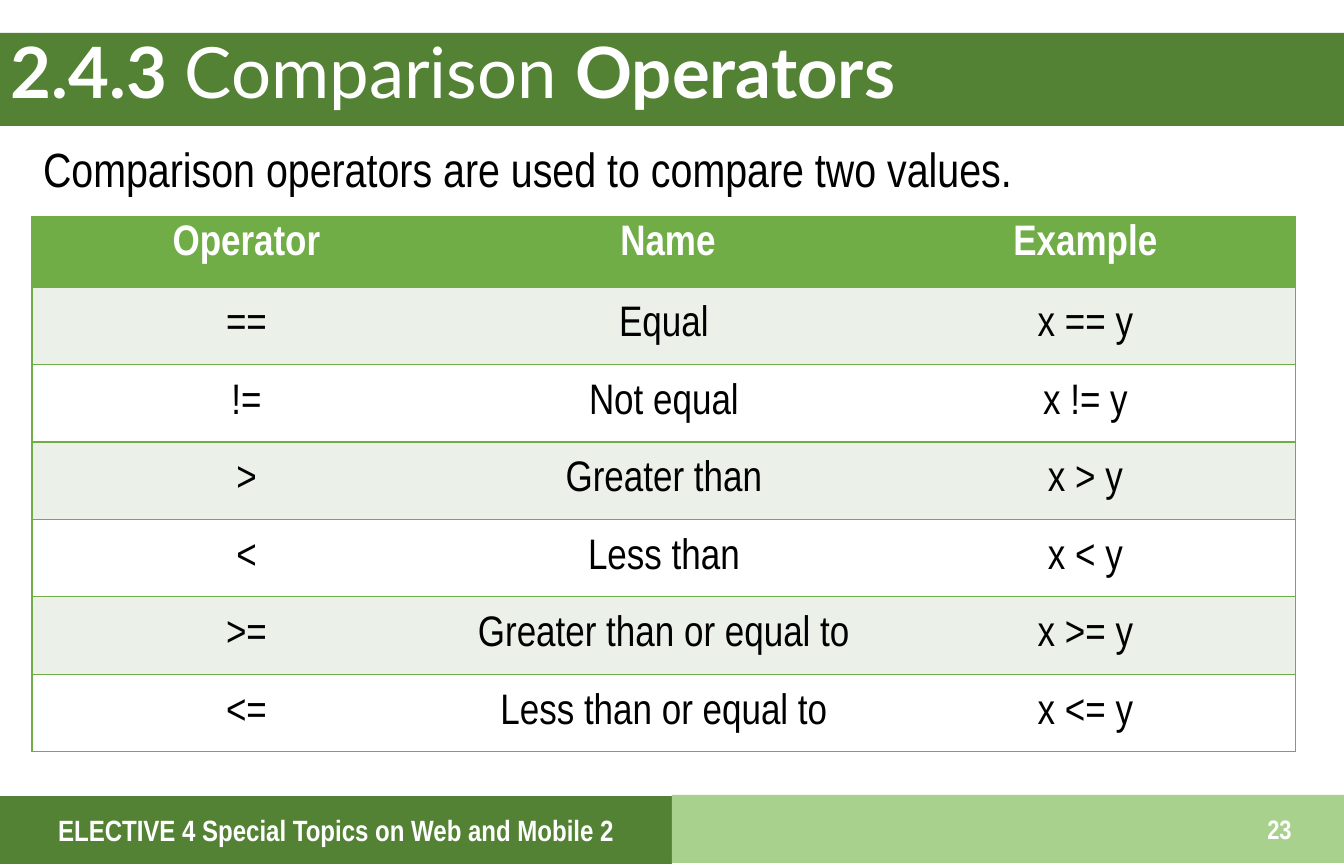
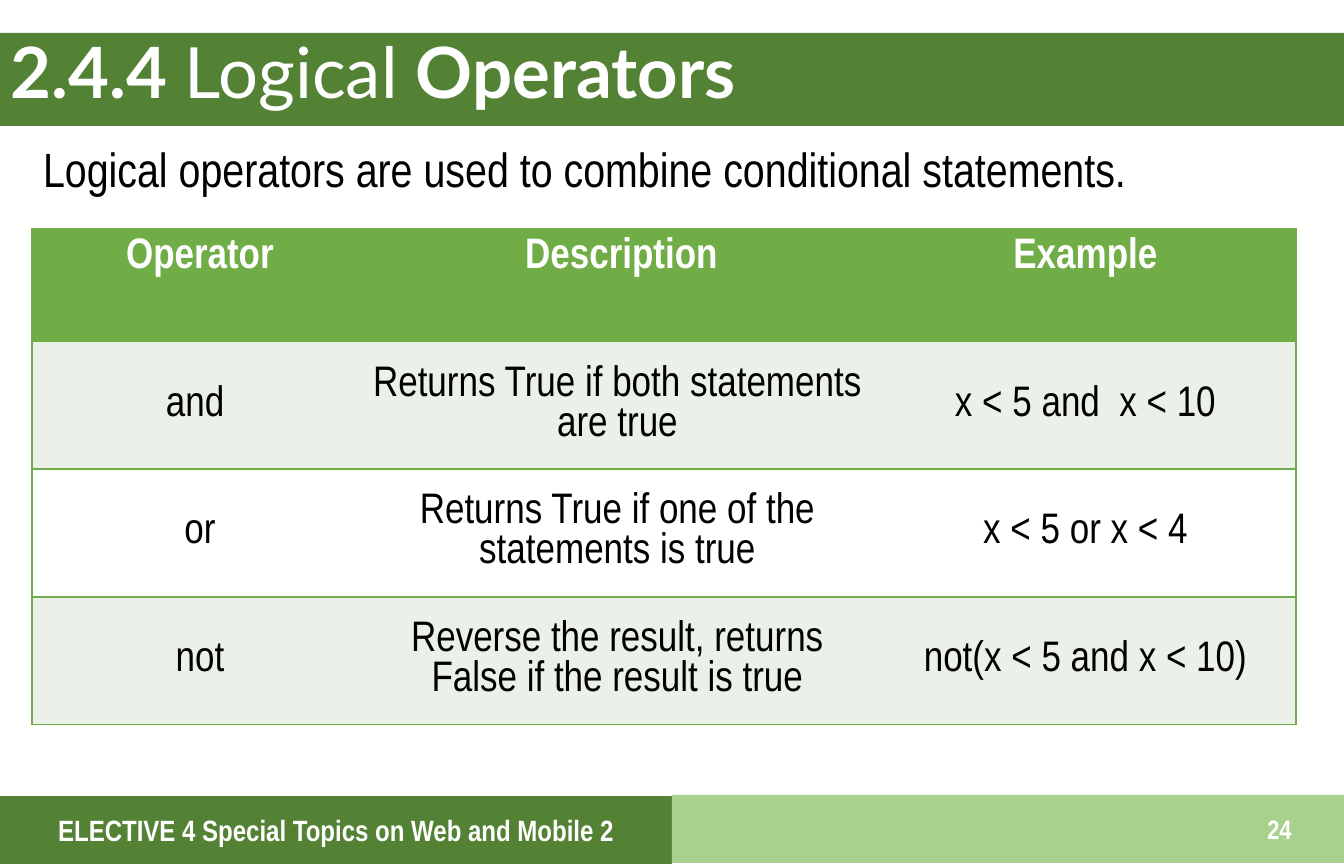
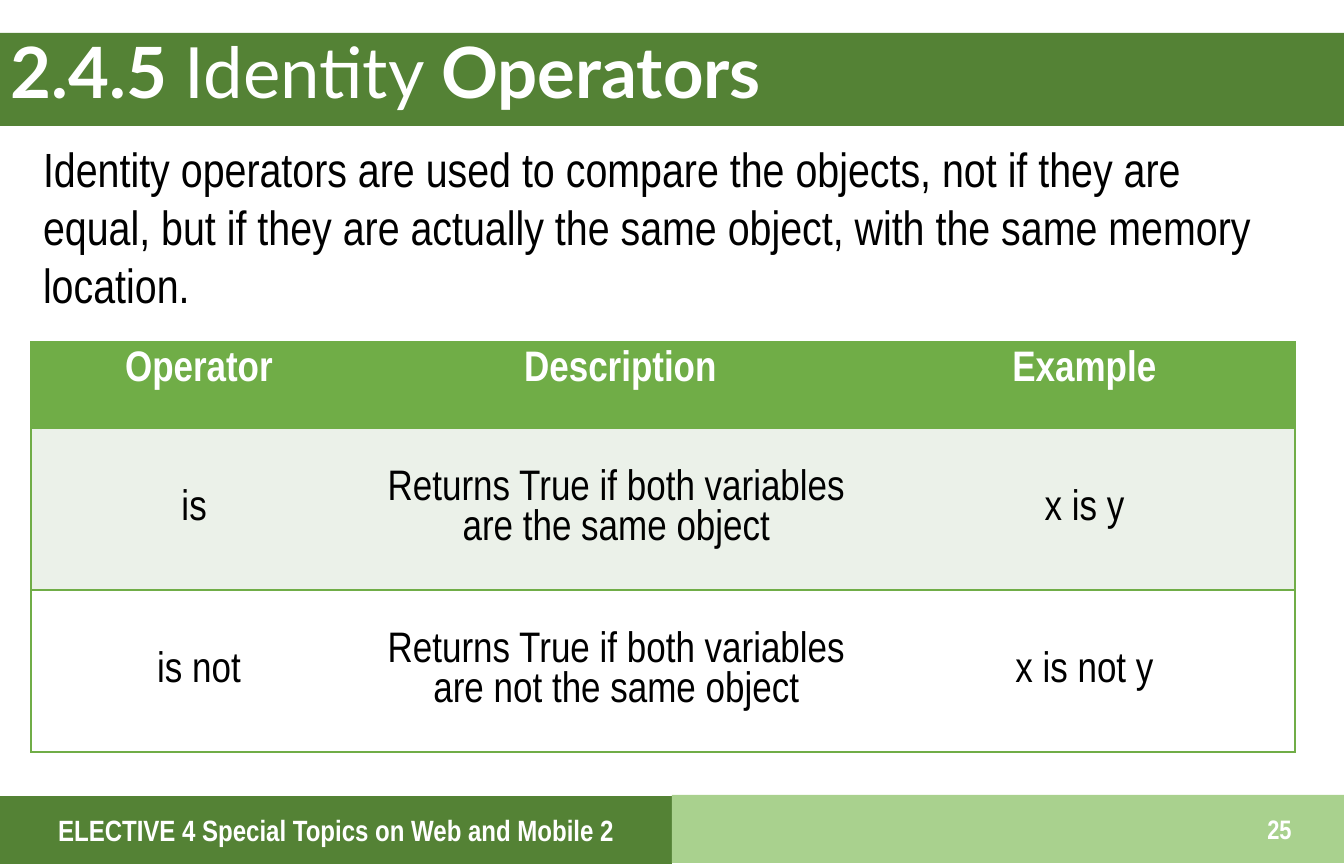
from lxml import etree
from pptx import Presentation
from pptx.dml.color import RGBColor
from pptx.enum.shapes import MSO_SHAPE
from pptx.enum.text import MSO_ANCHOR, PP_ALIGN
from pptx.oxml.ns import qn
from pptx.util import Emu, Pt

PX = 9525
WIDTH, HEIGHT = 1344, 864
HALF = WIDTH // 2

DARK_GREEN = RGBColor(0x54, 0x82, 0x35)
LIGHT_GREEN = RGBColor(0xA9, 0xD1, 0x8E)
TABLE_GREEN = RGBColor(0x70, 0xAD, 0x47)
STRIPE = RGBColor(0xEB, 0xF1, 0xE9)
WHITE = RGBColor(0xFF, 0xFF, 0xFF)
BLACK = RGBColor(0x00, 0x00, 0x00)

TITLE_FONT = "Lato"
BODY_FONT = "Arial Narrow"
COURSE = "ELECTIVE 4 Special Topics on Web and Mobile 2"

RECTANGLE = MSO_SHAPE.RECTANGLE
TOP, MIDDLE = MSO_ANCHOR.TOP, MSO_ANCHOR.MIDDLE
LEFT, CENTER = PP_ALIGN.LEFT, PP_ALIGN.CENTER

BANDS = [
    (0, 33, WIDTH, 93, DARK_GREEN),
    (0, 796, HALF, 68, DARK_GREEN),
    (HALF, 795, HALF, 68, LIGHT_GREEN),
]

EVEN_COLUMNS = (421, 422, 421)
WIDE_MIDDLE = (328, 515, 421)

TOPICS = [
    {
        "title": ("2.4.3 ", "Comparison ", "Operators"),
        "number": "23",
        "intro": "Comparison operators are used to compare two values.",
        "intro_height": 69,
        "box": (32, 217, 535),
        "header_height": 70,
        "columns": EVEN_COLUMNS,
        "rows": [
            ("Operator", "Name", "Example"),
            ("==", "Equal", "x == y"),
            ("!=", "Not equal", "x != y"),
            (">", "Greater than", "x > y"),
            ("<", "Less than", "x < y"),
            (">=", "Greater than or equal to", "x >= y"),
            ("<=", "Less than or equal to", "x <= y"),
        ],
    },
    {
        "title": ("2.4.4 ", "Logical ", "Operators"),
        "number": "24",
        "intro": "Logical operators are used to combine conditional statements.",
        "intro_height": 69,
        "box": (32, 229, 496),
        "header_height": 112,
        "columns": WIDE_MIDDLE,
        "rows": [
            ("Operator", "Description", "Example"),
            ("and ", "Returns True if both statements are true",
             "x < 5 and  x < 10"),
            ("or", "Returns True if one of the statements is true",
             "x < 5 or x < 4"),
            ("not", "Reverse the result, returns False if the result is true",
             "not(x < 5 and x < 10)"),
        ],
    },
    {
        "title": ("2.4.5 ", "Identity ", "Operators"),
        "number": "25",
        "intro": "Identity operators are used to compare the objects, not if "
                 "they are equal, but if they are actually the same object, "
                 "with the same memory location.",
        "intro_height": 185,
        "box": (31, 342, 410),
        "header_height": 86,
        "columns": WIDE_MIDDLE,
        "rows": [
            ("Operator", "Description", "Example"),
            ("is ", "Returns True if both variables are the same object",
             "x is y"),
            ("is not", "Returns True if both variables are not the same object",
             "x is not y"),
        ],
    },
]


def px(*lengths):
    """Turn pixel lengths into EMU."""
    return [Emu(length * PX) for length in lengths]


def style_font(run, font, size, color, bold=False):
    """Set the look of one run."""
    run.font.name = font
    run.font.size = Pt(size)
    run.font.color.rgb = color
    run.font.bold = bold


def add_band(slide, left, top, width, height, color):
    """Draw a plain coloured band."""
    band = slide.shapes.add_shape(RECTANGLE, *px(left, top, width, height))
    band.shadow.inherit = False
    band.fill.solid()
    band.fill.fore_color.rgb = color
    band.line.fill.background()


def add_frame(slide, box, anchor=TOP, align=LEFT):
    """Add a wrapping text box and return its first paragraph."""
    frame = slide.shapes.add_textbox(*px(*box)).text_frame
    frame.word_wrap = True
    frame.vertical_anchor = anchor
    frame.margin_left, frame.margin_right = px(11, 11)
    frame.margin_top, frame.margin_bottom = px(6, 6)
    paragraph = frame.paragraphs[0]
    paragraph.alignment = align
    return paragraph


def add_text(slide, box, text, size, color, bold=False, anchor=TOP, align=LEFT):
    """Add a text box in the body font."""
    paragraph = add_frame(slide, box, anchor, align)
    paragraph.text = text
    style_font(paragraph.runs[0], BODY_FONT, size, color, bold)


def add_title(slide, parts):
    """Add the title, whose middle part is in regular weight."""
    paragraph = add_frame(slide, (0, 29, 1233, 93), MIDDLE)
    paragraph.line_spacing = 0.9
    for index, part in enumerate(parts):
        run = paragraph.add_run()
        run.text = part
        style_font(run, TITLE_FONT, 53, WHITE, bold=index != 1)


def add_base(slide, title, number):
    """Add the bands, title and footer that all slides share."""
    for band in BANDS:
        add_band(slide, *band)
    add_title(slide, title)
    add_text(slide, (0, 807, HALF, 46), COURSE, 22, WHITE, True, MIDDLE, CENTER)
    add_text(slide, (1252, 807, 55, 46), number, 20, WHITE, True, TOP, CENTER)


def set_borders(cell, first, last):
    """Rule a cell above and below, and at the outer sides of the table."""
    properties = cell._tc.get_or_add_tcPr()
    sides = {"a:lnL": first, "a:lnR": last, "a:lnT": True, "a:lnB": True}
    for tag, ruled in sides.items():
        line = etree.SubElement(properties, qn(tag), w=str(Pt(1)))
        if ruled:
            fill = etree.SubElement(line, qn("a:solidFill"))
            etree.SubElement(fill, qn("a:srgbClr"), val=str(TABLE_GREEN))
        else:
            etree.SubElement(line, qn("a:noFill"))


def fill_cell(cell, text, row, column, last_column):
    """Write one table cell in the header or striped body style."""
    header, last = row == 0, column == last_column
    indented = column == 0 or (header and not last)
    set_borders(cell, column == 0, last)
    cell.fill.solid()
    cell.fill.fore_color.rgb = TABLE_GREEN if header else STRIPE if row % 2 else WHITE
    cell.margin_left, cell.margin_right = px(16 if indented else 8, 8)
    cell.margin_top, cell.margin_bottom = px(8, 8)
    cell.vertical_anchor = TOP if header else MIDDLE
    paragraph = cell.text_frame.paragraphs[0]
    paragraph.text = text
    paragraph.alignment = CENTER
    paragraph.line_spacing = Pt(30)
    style_font(paragraph.runs[0], BODY_FONT, 32, WHITE if header else BLACK, header)


def add_operator_table(slide, box, header_height, columns, rows):
    """Add a table with a header row and equal body rows."""
    left, top, height = box
    table = slide.shapes.add_table(
        len(rows), len(columns), *px(left, top, sum(columns), height)).table
    for column, width in zip(table.columns, px(*columns)):
        column.width = width
    body_height = Emu((height - header_height) * PX // (len(rows) - 1))
    for row, texts in enumerate(rows):
        table.rows[row].height = body_height if row else px(header_height)[0]
        for column, text in enumerate(texts):
            fill_cell(table.cell(row, column), text, row, column, len(columns) - 1)


def main():
    """Build and save the presentation."""
    deck = Presentation()
    deck.slide_width, deck.slide_height = px(WIDTH, HEIGHT)
    for topic in TOPICS:
        slide = deck.slides.add_slide(deck.slide_layouts[6])
        add_base(slide, topic["title"], topic["number"])
        add_text(slide, (32, 134, 1246, topic["intro_height"]), topic["intro"], 36, BLACK)
        add_operator_table(slide, topic["box"], topic["header_height"],
                           topic["columns"], topic["rows"])
    deck.save("out.pptx")


if __name__ == "__main__":
    main()
